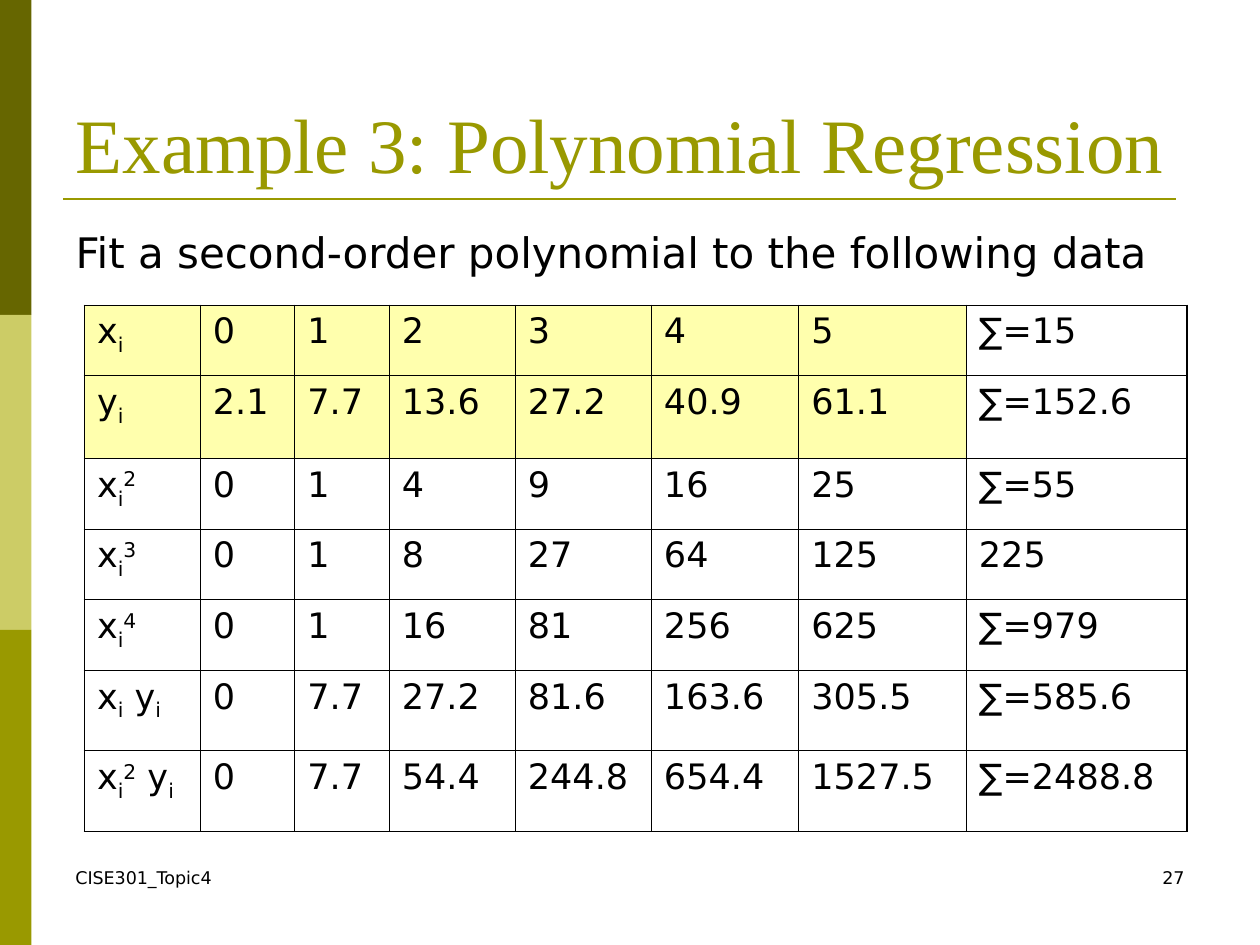
from lxml.etree import SubElement
from pptx import Presentation
from pptx.dml.color import RGBColor
from pptx.enum.shapes import MSO_CONNECTOR as Connector, MSO_SHAPE as Shape
from pptx.enum.text import MSO_ANCHOR as Anchor, PP_ALIGN as Align
from pptx.oxml.ns import qn
from pptx.util import Inches, Pt

BODY_FONT = "DejaVu Sans"
BLACK, OLIVE, DATA_FILL = "000000", "999900", "FFFFAD"
BAR_COLORS = ["666600", "CCCC66", OLIVE]
BASELINES = {"_": "-25000", "^": "30000"}  # subscript, superscript

COLUMN_WIDTHS = [0.92, 0.75, 0.75, 1, 1.08, 1.17, 1.33, 1.75]
ROW_HEIGHTS = [0.56, 0.66, 0.56, 0.56, 0.56, 0.64, 0.64]
ROWS = [
    ["x_i", "0", "1", "2", "3", "4", "5", "∑=15"],
    ["y_i", "2.1", "7.7", "13.6", "27.2", "40.9", "61.1", "∑=152.6"],
    ["x_i^2", "0", "1", "4", "9", "16", "25", "∑=55"],
    ["x_i^3", "0", "1", "8", "27", "64", "125", "225"],
    ["x_i^4", "0", "1", "16", "81", "256", "625", "∑=979"],
    ["x_i y_i", "0", "7.7", "27.2", "81.6", "163.6", "305.5", "∑=585.6"],
    ["x_i^2 y_i", "0", "7.7", "54.4", "244.8", "654.4", "1527.5", "∑=2488.8"],
]


def rgb(color):
    return RGBColor.from_string(color)


def add_run(paragraph, text, size, font=BODY_FONT, color=BLACK):
    run = paragraph.add_run()
    run.text = text
    run.font.size = Pt(size)
    run.font.name = font
    run.font.color.rgb = rgb(color)
    return run


def place(shape, left, top, width, height):
    shape.left, shape.top = Inches(left), Inches(top)
    shape.width, shape.height = Inches(width), Inches(height)


def add_side_bar(slide):
    height = 2.5
    for index, color in enumerate(BAR_COLORS):
        bar = slide.shapes.add_shape(Shape.RECTANGLE, 0, Inches(index * height),
                                     Inches(0.25), Inches(height))
        bar.fill.solid()
        bar.fill.fore_color.rgb = rgb(color)
        bar.line.fill.background()
        bar.shadow.inherit = False


def add_title_rule(slide):
    rule = slide.shapes.add_connector(Connector.STRAIGHT, Inches(0.5), Inches(1.58),
                                      Inches(9.33), Inches(1.58))
    rule.line.color.rgb = rgb(OLIVE)
    rule.line.width = Pt(1.5)
    SubElement(rule._element.spPr, qn("a:effectLst"))


def fill_title(slide, text):
    title = slide.shapes.title
    place(title, 0.5, 0.3, 9, 1.25)
    title.text_frame.vertical_anchor = Anchor.BOTTOM
    paragraph = title.text_frame.paragraphs[0]
    paragraph.alignment = Align.LEFT
    add_run(paragraph, text, 44, "Times New Roman", OLIVE)


def fill_body(slide, text):
    body = slide.placeholders[1]
    place(body, 0.5, 1.75, 9, 0.67)
    paragraph = body.text_frame.paragraphs[0]
    properties = paragraph._p.get_or_add_pPr()
    properties.set("marL", str(Inches(0.38)))
    properties.set("indent", str(Inches(-0.38)))
    SubElement(properties, qn("a:buNone"))
    paragraph.space_before = Pt(0)
    add_run(paragraph, text, 24)


def add_footer(slide, left, text, alignment):
    box = slide.shapes.add_textbox(Inches(left), Inches(6.83), Inches(2.33), Inches(0.5))
    box.text_frame.word_wrap = True
    paragraph = box.text_frame.paragraphs[0]
    paragraph.alignment = alignment
    add_run(paragraph, text, 10)


def add_formula(paragraph, text, size):
    """Write text run by run; the character after _ or ^ is lowered or raised."""
    plain, characters = "", iter(text)
    for character in characters:
        if character not in BASELINES:
            plain += character
            continue
        if plain:
            add_run(paragraph, plain, size)
            plain = ""
        run = add_run(paragraph, next(characters), size)
        run.font._element.set("baseline", BASELINES[character])
    if plain:
        add_run(paragraph, plain, size)


def set_borders(cell, widths):
    properties = cell._tc.get_or_add_tcPr()
    for position, (side, width) in enumerate(widths.items()):
        line = properties.makeelement(qn(f"a:ln{side}"), {"w": str(Pt(width))})
        fill = SubElement(line, qn("a:solidFill"))
        SubElement(fill, qn("a:srgbClr"), val=BLACK)
        properties.insert(position, line)


def add_data_table(slide):
    last_row, last_column = len(ROWS) - 1, len(COLUMN_WIDTHS) - 1
    frame = slide.shapes.add_table(len(ROWS), len(COLUMN_WIDTHS), Inches(0.67), Inches(2.42),
                                   Inches(sum(COLUMN_WIDTHS)), Inches(sum(ROW_HEIGHTS)))
    table = frame.table
    table.first_row = table.horz_banding = False
    for column, width in zip(table.columns, COLUMN_WIDTHS):
        column.width = Inches(width)
    for row, height in zip(table.rows, ROW_HEIGHTS):
        row.height = Inches(height)

    for row, values in enumerate(ROWS):
        for column, value in enumerate(values):
            cell = table.cell(row, column)
            add_formula(cell.text_frame.paragraphs[0], value, 20)
            # The given x and y values are highlighted
            if row < 2 and column < last_column:
                cell.fill.solid()
                cell.fill.fore_color.rgb = rgb(DATA_FILL)
            else:
                cell.fill.background()
            # Thin grid with a heavier left, right and bottom edge
            set_borders(cell, {
                "L": 1.08 if column == 0 else 0.45,
                "R": 1.08 if column == last_column else 0.45,
                "T": 0.45,
                "B": 1.08 if row == last_row else 0.45,
            })


def main():
    presentation = Presentation()
    presentation.slide_width, presentation.slide_height = Inches(10), Inches(7.5)
    slide = presentation.slides.add_slide(presentation.slide_layouts[1])

    # Decoration
    add_side_bar(slide)
    add_title_rule(slide)

    # Content
    fill_title(slide, "Example 3: Polynomial Regression")
    fill_body(slide, "Fit a second-order polynomial to the following data")
    add_data_table(slide)

    # Footer
    add_footer(slide, 0.5, "CISE301_Topic4", Align.LEFT)
    add_footer(slide, 7.17, "27", Align.RIGHT)

    presentation.save("out.pptx")


if __name__ == "__main__":
    main()
